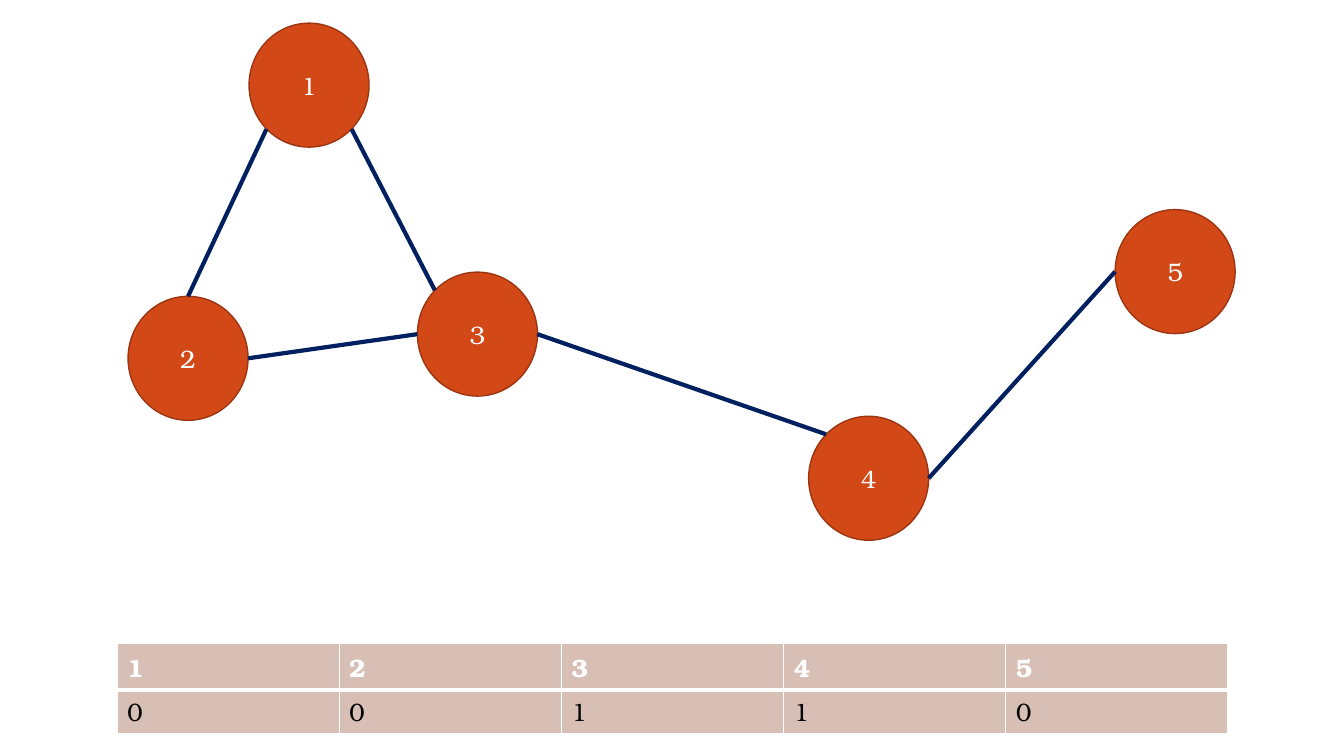
from lxml.etree import SubElement
from pptx import Presentation
from pptx.dml.color import RGBColor
from pptx.enum.shapes import MSO_CONNECTOR, MSO_SHAPE
from pptx.enum.text import MSO_ANCHOR, PP_ALIGN
from pptx.oxml import parse_xml
from pptx.oxml.ns import nsdecls, qn
from pptx.util import Inches, Pt

ORANGE = RGBColor(0xD3, 0x48, 0x17)
BROWN = RGBColor(0x9C, 0x35, 0x11)
NAVY = RGBColor(0x00, 0x20, 0x60)
ROSE = RGBColor(0xD8, 0xBF, 0xB6)
WHITE = RGBColor(0xFF, 0xFF, 0xFF)
BLACK = RGBColor(0x00, 0x00, 0x00)

NODE_WIDTH, NODE_HEIGHT = 1.19, 1.23
NODES = {"2": (1.27, 2.94), "1": (2.47, 0.23), "3": (4.14, 2.7),
         "4": (8.02, 4.13), "5": (11.06, 2.08)}

# Connection sites of an ellipse: index, then direction from its centre
DIAGONAL = 0.71
SITES = {"top": (0, 0, -1), "top left": (1, -DIAGONAL, -DIAGONAL),
         "left": (2, -1, 0), "bottom left": (3, -DIAGONAL, DIAGONAL),
         "bottom right": (5, DIAGONAL, DIAGONAL), "right": (6, 1, 0)}
EDGES = [("1", "bottom right", "3", "top left"),
         ("1", "bottom left", "2", "top"),
         ("2", "right", "3", "left"),
         ("3", "right", "4", "top left"),
         ("4", "right", "5", "left")]

TABLE_ROWS = [["1", "2", "3", "4", "5"], ["0", "0", "1", "1", "0"]]


class GraphSlide:
    """Holds the text style and the current slide."""

    font_format = {"name": "TeX Gyre Bonum", "size": Pt(18)}

    def __init__(self, presentation):
        self.slide = presentation.slides.add_slide(presentation.slide_layouts[6])
        self.nodes = {}

    def add_text(self, text_frame, text, color, bold=False):
        run = text_frame.paragraphs[0].add_run()
        run.text = text
        for name, value in {**self.font_format, "bold": bold}.items():
            setattr(run.font, name, value)
        run.font.color.rgb = color

    def add_node(self, label, left, top):
        shape = self.slide.shapes.add_shape(
            MSO_SHAPE.OVAL, Inches(left), Inches(top),
            Inches(NODE_WIDTH), Inches(NODE_HEIGHT))
        shape.shadow.inherit = False
        shape.fill.solid()
        shape.fill.fore_color.rgb = ORANGE
        shape.line.color.rgb = BROWN
        shape.line.width = Pt(1)
        shape.text_frame.vertical_anchor = MSO_ANCHOR.MIDDLE
        shape.text_frame.paragraphs[0].alignment = PP_ALIGN.CENTER
        self.add_text(shape.text_frame, label, WHITE)
        self.nodes[label] = shape

    def site_point(self, label, site):
        shape = self.nodes[label]
        _, across, down = SITES[site]
        return (int(shape.left + shape.width * (1 + across) / 2),
                int(shape.top + shape.height * (1 + down) / 2))

    def add_edge(self, start, start_site, end, end_site):
        connector = self.slide.shapes.add_connector(
            MSO_CONNECTOR.STRAIGHT, *self.site_point(start, start_site),
            *self.site_point(end, end_site))
        connector.line.color.rgb = NAVY
        connector.line.width = Pt(3)
        element = connector._element
        SubElement(element.spPr, qn("a:effectLst"))
        # Glue both ends to the nodes
        glue = element.nvCxnSpPr.cNvCxnSpPr
        for tag, label, site in (("a:stCxn", start, start_site),
                                 ("a:endCxn", end, end_site)):
            SubElement(glue, qn(tag), id=str(self.nodes[label].shape_id),
                       idx=str(SITES[site][0]))

    def set_borders(self, cell, bottom_width):
        properties = cell._tc.get_or_add_tcPr()
        widths = {"lnL": 1, "lnR": 1, "lnT": 1, "lnB": bottom_width}
        for index, (side, width) in enumerate(widths.items()):
            properties.insert(index, parse_xml(
                f'<a:{side} {nsdecls("a")} w="{int(Pt(width))}"><a:solidFill>'
                f'<a:srgbClr val="{WHITE}"/></a:solidFill></a:{side}>'))

    def add_table(self, rows, left, top, width, height):
        table = self.slide.shapes.add_table(
            len(rows), len(rows[0]), Inches(left), Inches(top),
            Inches(width), Inches(height)).table
        table.horz_banding = False
        for row_index, row in enumerate(rows):
            header = row_index == 0
            for column_index, text in enumerate(row):
                cell = table.cell(row_index, column_index)
                cell.fill.solid()
                cell.fill.fore_color.rgb = ROSE
                self.add_text(cell.text_frame, text, WHITE if header else BLACK, header)
                self.set_borders(cell, 3 if header else 1)


def main():
    presentation = Presentation()
    presentation.slide_width = Inches(13.33)
    presentation.slide_height = Inches(7.5)
    graph = GraphSlide(presentation)

    # Graph
    for label, position in NODES.items():
        graph.add_node(label, *position)
    for edge in EDGES:
        graph.add_edge(*edge)

    # Value of each node
    graph.add_table(TABLE_ROWS, 1.16, 6.38, 11.02, 0.81)

    presentation.save("out.pptx")


if __name__ == "__main__":
    main()
